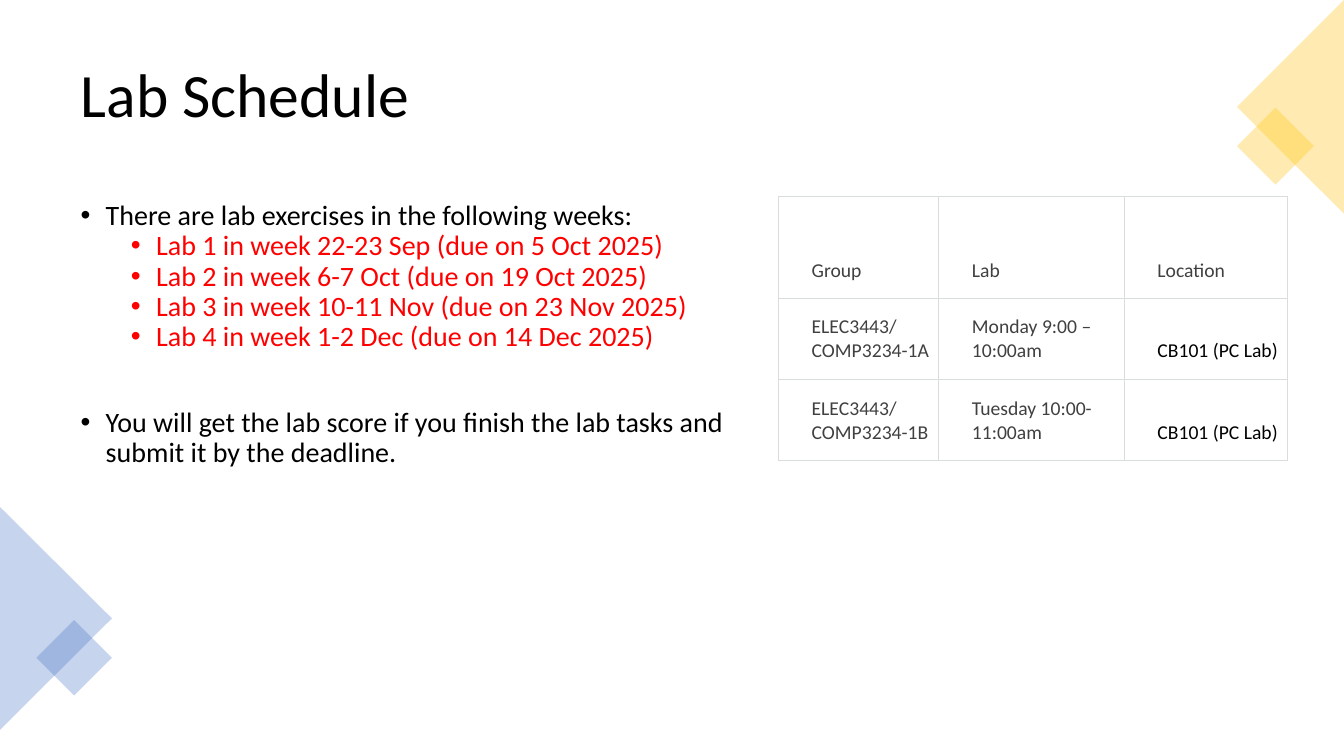
from lxml import etree
from pptx import Presentation
from pptx.dml.color import RGBColor
from pptx.enum.shapes import MSO_SHAPE
from pptx.enum.text import MSO_ANCHOR, PP_ALIGN
from pptx.oxml.ns import qn
from pptx.util import Inches, Pt

TRIANGLE, SQUARE = MSO_SHAPE.ISOSCELES_TRIANGLE, MSO_SHAPE.RECTANGLE
MIDDLE, BOTTOM = MSO_ANCHOR.MIDDLE, MSO_ANCHOR.BOTTOM
LEFT = PP_ALIGN.LEFT
TITLE_ONLY = 5
COLORS = {"text": "000000", "due": "FF0000", "cell": "404040",
          "border": "D8DEDC", "blue": "4472C4", "gold": "FFC000"}
LABS = ["Lab 1 in week 22-23 Sep (due on 5 Oct 2025)",
        "Lab 2 in week 6-7 Oct (due on 19 Oct 2025)",
        "Lab 3 in week 10-11 Nov (due on 23 Nov 2025)",
        "Lab 4 in week 1-2 Dec (due on 14 Dec 2025)"]
SCHEDULE = [["Group", "Lab", "Location"],
            ["ELEC3443/\nCOMP3234-1A", "Monday 9:00 – 10:00am", "CB101 (PC Lab)"],
            ["ELEC3443/\nCOMP3234-1B", "Tuesday 10:00- 11:00am", "CB101 (PC Lab)"]]
COLUMN_WIDTHS = [1.59, 1.84, 1.62]
ROW_HEIGHTS = [1.01, 0.8, 0.81]


def set_all(target, values):
    for name, value in values.items():
        setattr(target, name, value)


def style_para(para, size, color, **layout):
    set_all(para, {"alignment": LEFT, "space_before": Pt(0), "space_after": Pt(0), **layout})
    for span in para.runs:
        set_all(span.font, {"name": "Calibri", "size": Pt(size), "bold": False})
        span.font.color.rgb = RGBColor.from_string(COLORS[color])


def place(shape, box):
    set_all(shape, dict(zip(("left", "top", "width", "height"), map(Inches, box))))


def add_title(page, box):
    title = page.shapes.title
    place(title, box)
    title.text_frame.vertical_anchor = MIDDLE
    title.text_frame.text = "Lab Schedule"
    style_para(title.text_frame.paragraphs[0], 44, "text", line_spacing=0.9)


def add_bullet(para, margin):
    properties = para._p.get_or_add_pPr()
    properties.set("marL", str(Inches(margin)))
    properties.set("indent", str(Inches(-0.25)))
    etree.SubElement(properties, qn("a:buFont")).set("typeface", "Arial")
    etree.SubElement(properties, qn("a:buChar")).set("char", "•")


def add_lab_list(page, box):
    frame = page.shapes.add_textbox(*map(Inches, box)).text_frame
    frame.word_wrap = True
    lines = [("There are lab exercises in the following weeks:", 0, "text", 0)]
    lines += [(lab, 1, "due", 0) for lab in LABS]
    lines.append(("You will get the lab score if you finish the lab tasks and "
                  "submit it by the deadline.", 0, "text", 39.5))
    for index, (text, level, color, gap) in enumerate(lines):
        para = frame.add_paragraph() if index else frame.paragraphs[0]
        para.text = text
        style_para(para, 20, color, level=level, line_spacing=0.9, space_before=Pt(gap))
        add_bullet(para, 0.25 + 0.5 * level)


def add_borders(cell):
    properties = cell._tc.get_or_add_tcPr()
    for position, side in enumerate(("lnL", "lnR", "lnT", "lnB")):
        line = etree.Element(qn("a:" + side), w=str(Pt(0.75)))
        fill = etree.SubElement(line, qn("a:solidFill"))
        etree.SubElement(fill, qn("a:srgbClr")).set("val", COLORS["border"])
        properties.insert(position, line)


def add_schedule(page, box):
    table = page.shapes.add_table(len(SCHEDULE), len(SCHEDULE[0]), *map(Inches, box)).table
    set_all(table, {"first_row": False, "horz_banding": False})
    for column, width in zip(table.columns, COLUMN_WIDTHS):
        column.width = Inches(width)
    for row_index, (row, height) in enumerate(zip(SCHEDULE, ROW_HEIGHTS)):
        table.rows[row_index].height = Inches(height)
        for column_index, text in enumerate(row):
            cell = table.cell(row_index, column_index)
            cell.text = text
            set_all(cell, {"vertical_anchor": BOTTOM,
                           "margin_left": Inches(0.33), "margin_right": Inches(0.02),
                           "margin_top": Inches(0.16), "margin_bottom": Inches(0.16)})
            cell.fill.background()
            add_borders(cell)
            color = "text" if row_index and column_index == 2 else "cell"
            for para in cell.text_frame.paragraphs:
                style_para(para, 14, color)


def add_corner(page, box, rotation, color, square_offset, square_size):
    left, top, depth, span = box
    triangle_box = (left + (depth - span) / 2, top + (span - depth) / 2, span, depth)
    square_box = (left + square_offset[0], top + square_offset[1], square_size, square_size)
    for kind, part_box, angle in ((TRIANGLE, triangle_box, rotation), (SQUARE, square_box, 45)):
        shape = page.shapes.add_shape(kind, *map(Inches, part_box))
        shape.rotation = angle
        shape.shadow.inherit = False
        shape.line.fill.background()
        shape.fill.solid()
        shape.fill.fore_color.rgb = RGBColor.from_string(COLORS[color])
        tint = shape._element.spPr.find(".//" + qn("a:srgbClr"))
        etree.SubElement(tint, qn("a:alpha")).set("val", "30000")


def main():
    deck = Presentation()
    set_all(deck, {"slide_width": Inches(13.33), "slide_height": Inches(7.5)})
    page = deck.slides.add_slide(deck.slide_layouts[TITLE_ONLY])
    add_title(page, (0.7, 0.35, 11.93, 1.24))
    add_lab_list(page, (0.7, 1.95, 7.01, 4.81))
    add_corner(page, (0, 5.03, 1.11, 2.21), 90, "blue", (0.47, 1.23), 0.53)
    add_corner(page, (12.27, 0, 1.06, 2.12), 270, "gold", (0.11, 1.18), 0.54)
    add_schedule(page, (7.72, 1.95, sum(COLUMN_WIDTHS), sum(ROW_HEIGHTS)))
    deck.save("out.pptx")


if __name__ == "__main__":
    main()
